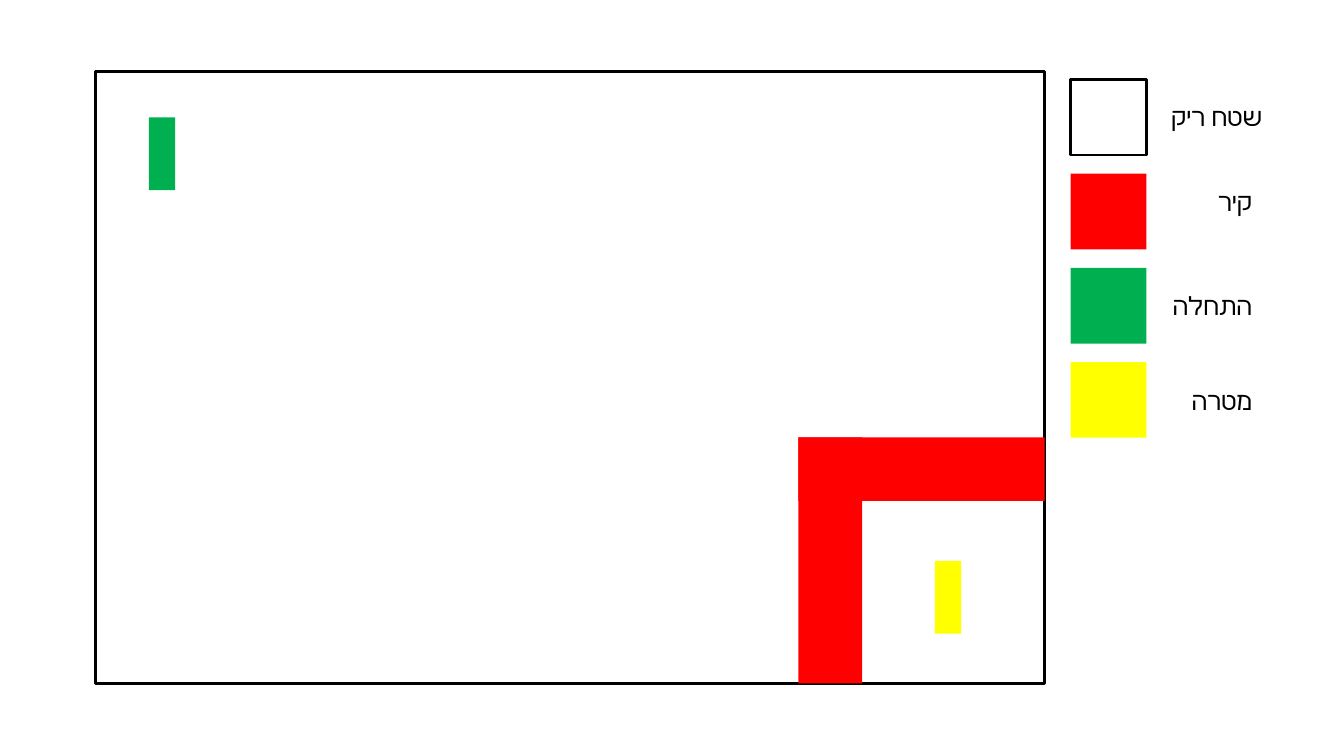
"""Builds a maze map slide with a colour legend in Hebrew."""
import pptx
import pptx.dml.color
import pptx.enum.shapes
import pptx.enum.text
import pptx.util

Pt = pptx.util.Pt
COLORS = {"outline": "000000", "text": "000000", "wall": "FF0000", "start": "00B050", "goal": "FFFF00"}
LEGEND = [
    ("שטח ריק", None, 825.8, 69.1),
    ("קיר", "wall", 818.6, 129.6),
    ("התחלה", "start", 818.6, 203.8),
    ("מטרה", "goal", 818.6, 271.4),
]
FIELD = (68.4, 51.2, 677.8, 437)
WALL_LENGTH, WALL_THICKNESS = 175.8, 45.4
MARKER_SIZE = (18.8, 52)
MARKERS = [("start", 106.4, 83.8), ("goal", 667.8, 400.6)]
SWATCH_LEFT, SWATCH_TOP, SWATCH_SIZE, SWATCH_STEP = 764.8, 56.8, 54, 67.3
LABEL_SIZE = (82.8, 29.1)


def rgb(name):
    """Returns the named colour."""
    return pptx.dml.color.RGBColor.from_string(COLORS[name])


def add_block(shapes, fill, *box):
    """Adds a filled block, or an outlined one when there is no fill."""
    block = shapes.add_shape(pptx.enum.shapes.MSO_SHAPE.RECTANGLE, *map(Pt, box))
    block.shadow.inherit = False
    if fill:
        block.fill.solid()
        block.fill.fore_color.rgb = rgb(fill)
        block.line.fill.background()
    else:
        block.fill.background()
        block.line.color.rgb = rgb("outline")
        block.line.width = Pt(2)


def add_label(shapes, wording, left, top):
    """Adds a right-to-left legend label."""
    label = shapes.add_textbox(*map(Pt, (left, top, *LABEL_SIZE)))
    frame = label.text_frame
    frame.word_wrap = True
    frame.auto_size = pptx.enum.text.MSO_AUTO_SIZE.SHAPE_TO_FIT_TEXT
    paragraph = frame.paragraphs[0]
    paragraph.text = wording
    paragraph.alignment = pptx.enum.text.PP_ALIGN.RIGHT
    paragraph._p.get_or_add_pPr().set("rtl", "1")
    paragraph.font.size = Pt(18)
    paragraph.font.name = "Calibri"
    paragraph.font.color.rgb = rgb("text")


def main():
    """Builds and saves the slide."""
    deck = pptx.Presentation()
    deck.slide_width, deck.slide_height = Pt(960), Pt(540)
    slide = deck.slides.add_slide(deck.slide_layouts[6])
    maze = slide.shapes.add_group_shape().shapes

    add_block(maze, None, *FIELD)
    field_right, field_bottom = FIELD[0] + FIELD[2], FIELD[1] + FIELD[3]
    wall_left, wall_top = field_right - WALL_LENGTH, field_bottom - WALL_LENGTH
    add_block(maze, "wall", wall_left, wall_top, WALL_LENGTH, WALL_THICKNESS)
    add_block(maze, "wall", wall_left, wall_top, WALL_THICKNESS, WALL_LENGTH)
    for role, left, top in MARKERS:
        add_block(maze, role, left, top, *MARKER_SIZE)

    for row, (wording, role, left, top) in enumerate(LEGEND):
        add_block(maze, role, SWATCH_LEFT, SWATCH_TOP + row * SWATCH_STEP, SWATCH_SIZE, SWATCH_SIZE)
        add_label(maze, wording, left, top)

    deck.save("out.pptx")


if __name__ == "__main__":
    main()
